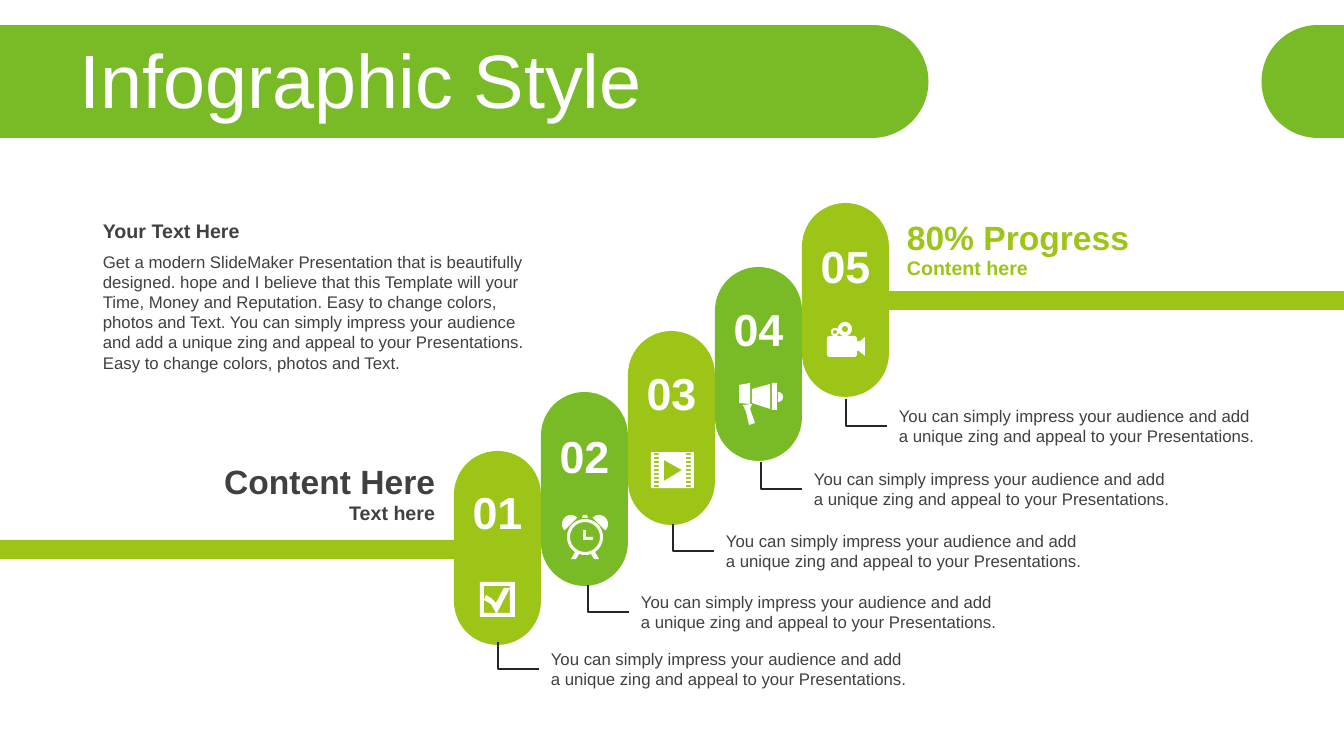
import math

from pptx import Presentation
from pptx import util as u
from pptx.dml.color import RGBColor
from pptx.enum import shapes, text

PX = 914400 / 100.8  # EMU in one px


class Theme:
    font = "Arial"
    green = RGBColor.from_string("79BA27")
    lime = RGBColor.from_string("9DC518")
    white = RGBColor.from_string("FFFFFF")
    dark = RGBColor.from_string("404040")
    line = RGBColor.from_string("262626")
    title, number, heading, subheading, body = (u.Pt(size) for size in (54, 32, 24, 14, 12))


presentation = Presentation()
presentation.slide_width, presentation.slide_height = round(1344 * PX), round(756 * PX)
slide = presentation.slides.add_slide(presentation.slide_layouts[5])


def add_text(box, words, size, color, bold=False, align=text.PP_ALIGN.LEFT):
    shape = slide.shapes.add_textbox(*(round(length * PX) for length in box))
    frame = shape.text_frame
    frame.word_wrap = True
    frame.auto_size = text.MSO_AUTO_SIZE.SHAPE_TO_FIT_TEXT
    frame.vertical_anchor = text.MSO_ANCHOR.MIDDLE
    paragraph = frame.paragraphs[0]
    paragraph.text = words
    paragraph.alignment = align
    font = paragraph.font
    font.name, font.size, font.bold, font.color.rgb = Theme.font, size, bold, color


def add_outline(contours, fill=None):
    """Contours hold points (x, y) and arcs (x, y, radius, start, end) in degrees."""
    builder = None
    for contour in contours:
        points = []
        for x, y, *arc in contour:
            if arc:
                radius, start, end = arc
                angles = [math.radians(start + (end - start) * i / 48) for i in range(49)]
                points += [(x + radius * math.cos(a), y + radius * math.sin(a)) for a in angles]
            else:
                points.append((x, y))
        points = [(x * PX, y * PX) for x, y in points]
        if builder is None:
            builder = slide.shapes.build_freeform(*points[0])
        else:
            builder.move_to(*points[0])
        builder.add_line_segments(points[1:], close=fill is not None)
    shape = builder.convert_to_shape()
    shape.shadow.inherit = False
    if fill is None:
        shape.fill.background()
        shape.line.color.rgb, shape.line.width = Theme.line, u.Pt(1)
    else:
        shape.fill.solid()
        shape.fill.fore_color.rgb = fill
        shape.line.fill.background()


# Header bands and title
top, bottom = 25, 138
middle, radius = (top + bottom) / 2, (bottom - top) / 2
add_outline([[(0, top), (872, middle, radius, -90, 90), (0, bottom)]], Theme.green)
add_outline([[(1344, bottom), (1318, middle, radius, 90, 270), (1344, top)]], Theme.green)

title = slide.shapes.title
slide.shapes.element.append(title.element)  # bring in front of the band
title.left, title.top, title.width, title.height = (round(v * PX) for v in (69, 44, 1243, 80))
title.text_frame.text = "Infographic Style"
title.text_frame.auto_size = text.MSO_AUTO_SIZE.NONE
title.text_frame.vertical_anchor = text.MSO_ANCHOR.MIDDLE
paragraph = title.text_frame.paragraphs[0]
paragraph.alignment, paragraph.line_spacing = text.PP_ALIGN.LEFT, 0.9
font = paragraph.font
font.name, font.size, font.color.rgb = Theme.font, Theme.title, Theme.white

# Pill staircase and side bars
steps = [  # pill top, number top, elbow x, elbow y
    (451, 480, 498, 642),
    (392, 424, 588, 585),
    (331, 361, 673, 524),
    (267, 297, 761, 462),
    (203, 234, 846, 399),
]
first_pill, pill_width, pill_height = 454, 87, 194
pill_lefts = [first_pill + pill_width * i for i in range(len(steps))]
RECTANGLE, PILL = shapes.MSO_SHAPE.RECTANGLE, shapes.MSO_SHAPE.ROUNDED_RECTANGLE
blocks = [
    (PILL, (left, step[0], pill_width, pill_height), (Theme.lime, Theme.green)[i % 2])
    for i, (left, step) in enumerate(zip(pill_lefts, steps))
]
blocks += [
    (RECTANGLE, (0, 540, 454, 19), Theme.lime),
    (RECTANGLE, (889, 291, 455, 19), Theme.lime),
]
for kind, box, color in blocks:
    shape = slide.shapes.add_shape(kind, *(round(length * PX) for length in box))
    if kind == PILL:
        shape.adjustments[0] = 0.5
    shape.shadow.inherit = False
    shape.fill.solid()
    shape.fill.fore_color.rgb = color
    shape.line.fill.background()

# Numbers, elbows and notes
note = "You can simply impress your audience and add a unique zing and appeal to your Presentations."
for i, (left, (_, number_top, x, y)) in enumerate(zip(pill_lefts, steps), 1):
    add_text((left, number_top, pill_width, 64), f"{i:02}", Theme.number, Theme.white,
             True, text.PP_ALIGN.CENTER)
    add_outline([[(x, y), (x, y + 27), (x + 41, y + 27)]])
    add_text((x + 43, y + 2, 377, 50), note, Theme.body, Theme.dark)

# Headings and introduction
RIGHT = text.PP_ALIGN.RIGHT
add_text((207, 456, 238, 50), "Content Here", Theme.heading, Theme.dark, True, RIGHT)
add_text((207, 496, 238, 34), "Text here", Theme.subheading, Theme.dark, True, RIGHT)
add_text((897, 212, 259, 50), "80% Progress", Theme.heading, Theme.lime, True)
add_text((897, 251, 259, 34), "Content here", Theme.subheading, Theme.lime, True)
add_text((93, 214, 462, 34), "Your Text Here", Theme.subheading, Theme.dark, True)
add_text(
    (93, 246, 462, 132),
    "Get a modern SlideMaker Presentation that is beautifully designed. hope and I believe "
    "that this Template will your Time, Money and Reputation. Easy to change colors, photos "
    "and Text. You can simply impress your audience and add a unique zing and appeal to your "
    "Presentations. Easy to change colors, photos and Text.",
    Theme.body, Theme.dark,
)

# Icons: a contour inside another one is a hole
checkbox = [
    [(480, 582), (515, 582), (515, 617), (480, 617)],
    [(484, 586), (510, 586), (510, 613), (484, 613)],
    [(484, 600), (486, 595), (491, 598), (496, 603), (504, 588), (510, 588),
     (497, 613), (496, 613), (491, 604)],
]
clock = [
    [(585, 537, 18, 0, 360)],
    [(585, 537, 15, 0, 360)],
    [(583, 530), (586, 530), (586, 537), (593, 537), (593, 540), (583, 540)],
    [(571, 524, 9, 135, 315)],
    [(599, 524, 9, 225, 405)],
    [(582, 518), (583, 515), (587, 515), (588, 518)],
    [(575, 552), (579, 554), (576, 559), (571, 559)],
    [(595, 552), (591, 554), (594, 559), (599, 559)],
]
film = [
    [(651, 452), (694, 452), (694, 488), (651, 488)],
    [(664, 460), (682, 470), (664, 481)],
]
film += [
    [(x, y), (x + 5, y), (x + 5, y + 2), (x, y + 2)]
    for x in (654, 686) for y in range(453, 487, 4)
]
megaphone = [
    [(739, 385), (750, 383), (750, 404), (739, 403)],
    [(752, 389), (770, 384), (770, 409), (752, 403)],
    [(772, 383), (777, 383), (777, 410), (772, 410)],
    [(778, 397, 5, -90, 90)],
    [(743, 405), (752, 404), (750, 409), (755, 423), (749, 425), (746, 412)],
]
camera = [
    [(830, 339, 3, 180, 270), (854, 339, 3, 270, 360), (857, 341), (859, 341), (859, 342),
     (865, 337), (865, 356), (859, 351), (857, 351), (854, 354, 3, 0, 90),
     (830, 354, 3, 90, 180)],
    [(835, 332, 4, 0, 360)],
    [(835, 332, 2, 0, 360)],
    [(845, 329, 7, 0, 360)],
    [(845, 329, 3, 0, 360)],
]
for icon in (checkbox, clock, film, megaphone, camera):
    add_outline(icon, Theme.white)

presentation.save("out.pptx")
